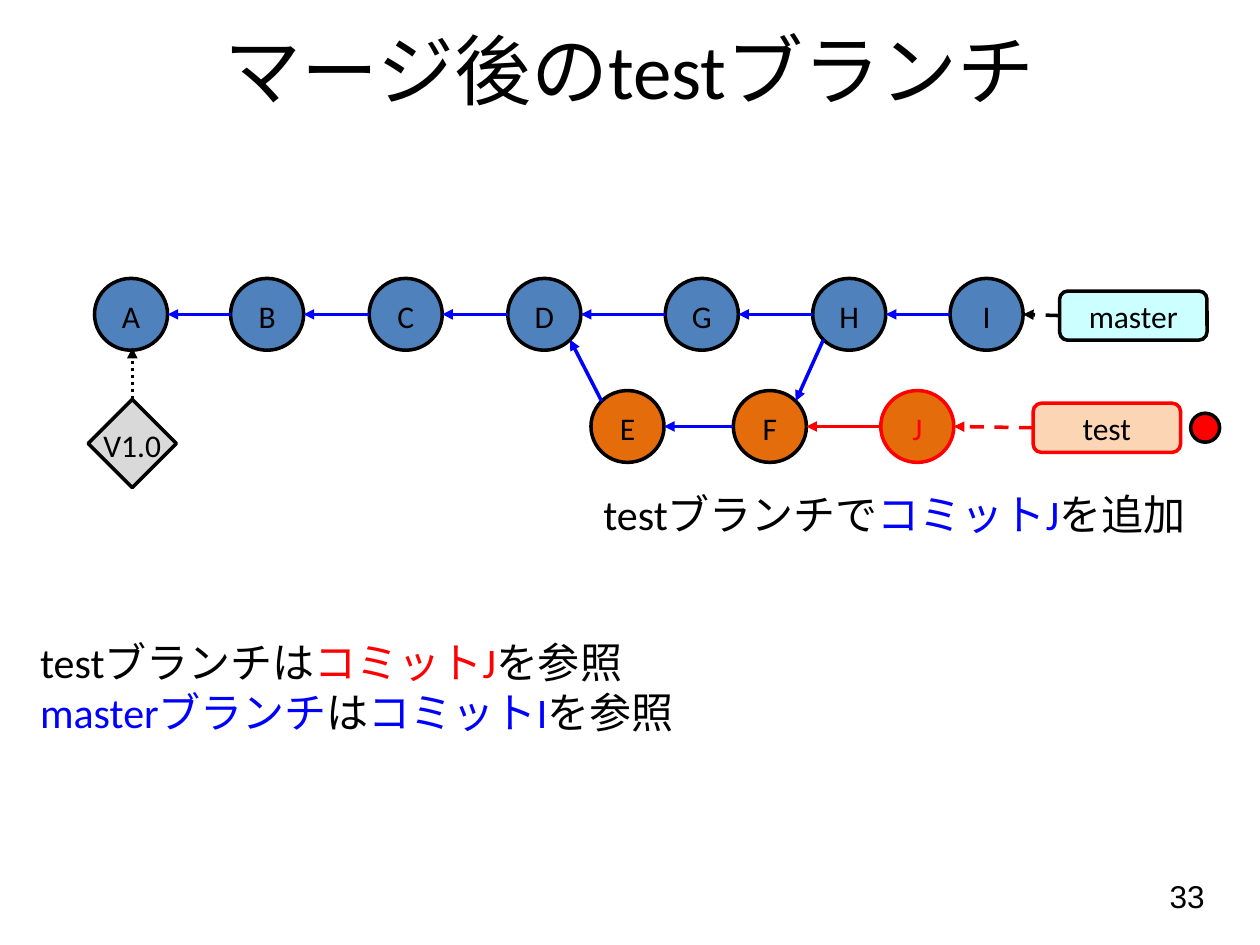
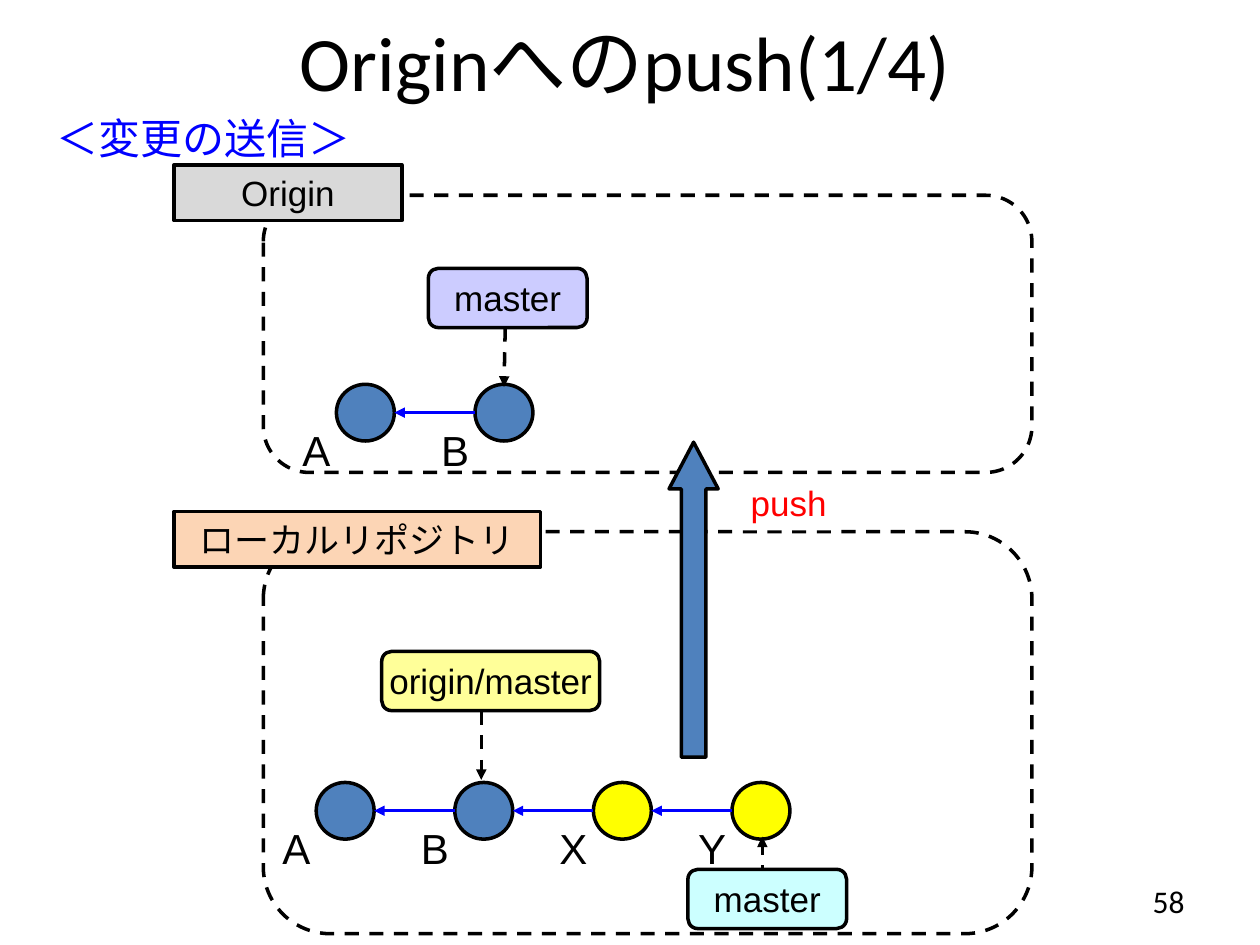
from dataclasses import dataclass
from math import copysign, sqrt

from lxml.etree import SubElement
from pptx import Presentation
from pptx.dml.color import RGBColor
from pptx.enum.dml import MSO_LINE as Dash
from pptx.enum.shapes import MSO_CONNECTOR, MSO_SHAPE as Preset
from pptx.enum.text import MSO_ANCHOR as Anchor, PP_ALIGN as Align
from pptx.oxml.ns import qn
from pptx.util import Inches, Pt

BLACK, WHITE, RED, BLUE = "000000", "FFFFFF", "FF0000", "0000FF"
STEEL, ORANGE, YELLOW = "4F81BD", "E46C0A", "FFFF00"
GRAY, PEACH, CYAN, LAVENDER, CREAM = "D9D9D9", "FCD5B5", "CCFFFF", "CCCCFF", "FFFF99"
BODY, DIAGRAM = "Calibri", "Arial"
INSETS = (0.1, 0.05, 0.1, 0.05)


@dataclass(frozen=True)
class Box:
    left: float
    top: float
    width: float
    height: float

    def lengths(self):
        return [Inches(v) for v in (self.left, self.top, self.width, self.height)]


@dataclass(frozen=True)
class Commit:
    name: str
    left: float
    top: float
    fill: str = STEEL
    outline: str = BLACK
    width: float = 0.58
    height: float = 0.57

    @property
    def box(self) -> Box:
        return Box(self.left, self.top, self.width, self.height)

    def edge(self, dx: float, dy: float) -> tuple[float, float]:
        reach = 1 / sqrt(dx * dx + dy * dy)
        return (self.left + self.width / 2 * (1 + dx * reach),
                self.top + self.height / 2 * (1 + dy * reach))


@dataclass(frozen=True)
class Tag:
    text: str
    box: Box
    fill: str
    outline: str = BLACK
    preset: Preset = Preset.ROUNDED_RECTANGLE


def color(value: str) -> RGBColor:
    return RGBColor.from_string(value)


def write(shape, paragraphs, *, size=18, font=BODY, ink=BLACK, align=Align.LEFT,
          anchor=Anchor.TOP, insets=INSETS, wrap=True) -> None:
    frame = shape.text_frame
    frame.word_wrap = wrap
    frame.vertical_anchor = anchor
    (frame.margin_left, frame.margin_top,
     frame.margin_right, frame.margin_bottom) = [Inches(v) for v in insets]
    if isinstance(paragraphs, str):
        paragraphs = [[(paragraphs, ink)]]
    for index, runs in enumerate(paragraphs):
        paragraph = frame.add_paragraph() if index else frame.paragraphs[0]
        paragraph.alignment = align
        for text, run_ink in runs:
            run = paragraph.add_run()
            run.text = text
            run.font.size = Pt(size)
            run.font.name = font
            run.font.color.rgb = color(run_ink)


def add_text(slide, box: Box, paragraphs, **style) -> None:
    write(slide.shapes.add_textbox(*box.lengths()), paragraphs, **style)


def add_block(slide, preset: Preset, box: Box, fill=None, outline=BLACK, dash=None):
    block = slide.shapes.add_shape(preset, *box.lengths())
    block.shadow.inherit = False
    if fill:
        block.fill.solid()
        block.fill.fore_color.rgb = color(fill)
    else:
        block.fill.background()
    if outline:
        block.line.color.rgb = color(outline)
        block.line.width = Pt(2)
        block.line.dash_style = dash
    else:
        block.line.fill.background()
    return block


def add_arrow(slide, start, end, ink=BLACK, weight=2.0, dash=None) -> None:
    arrow = slide.shapes.add_connector(
        MSO_CONNECTOR.STRAIGHT, *[Inches(v) for v in (*start, *end)])
    arrow.line.color.rgb = color(ink)
    arrow.line.width = Pt(weight)
    arrow.line.dash_style = dash
    properties = arrow._element.spPr
    SubElement(properties.find(qn("a:ln")), qn("a:tailEnd"), type="triangle")
    SubElement(properties, qn("a:effectLst"))


def add_commit(slide, commit: Commit):
    return add_block(slide, Preset.OVAL, commit.box, commit.fill, commit.outline)


def link(slide, child: Commit, parent: Commit, ink=BLUE, weight=2.0) -> None:
    dx = copysign(1, parent.left - child.left)
    dy = copysign(1, parent.top - child.top) if parent.top != child.top else 0
    add_arrow(slide, child.edge(dx, dy), parent.edge(-dx, -dy), ink, weight)


def add_tag(slide, tag: Tag, **style) -> None:
    block = add_block(slide, tag.preset, tag.box, tag.fill, tag.outline)
    write(block, tag.text, align=Align.CENTER, anchor=Anchor.MIDDLE, wrap=False, **style)


def add_slide(deck, title: str, title_box: Box, number: str, number_box: Box, number_font: str):
    slide = deck.slides.add_slide(deck.slide_layouts[6])
    add_text(slide, number_box, number, font=number_font, align=Align.RIGHT,
             anchor=Anchor.MIDDLE)
    add_text(slide, title_box, title, size=44, align=Align.CENTER, anchor=Anchor.MIDDLE)
    return slide


def build_merged_branch(deck) -> None:
    slide = add_slide(deck, "マージ後のtestブランチ", Box(0, -0.08, 10, 1.25),
                      "33", Box(7.33, 6.9, 2.33, 0.42), DIAGRAM)
    add_text(slide, Box(4.69, 3.83, 5.16, 0.5),
             [[("testブランチで", BLACK), ("コミットJ", BLUE), ("を追加", BLACK)]], size=24)

    master_lefts = zip("ABCDGHI", (0.75, 1.83, 2.93, 4.03, 5.28, 6.45, 7.54))
    history = {name: Commit(name, left, 2.21) for name, left in master_lefts}
    history |= {name: Commit(name, left, 3.1, ORANGE, outline) for name, left, outline in
                (("E", 4.69, BLACK), ("F", 5.82, BLACK), ("J", 6.99, RED))}
    for commit in history.values():
        ink = RED if commit.outline == RED else BLACK
        write(add_commit(slide, commit), commit.name, ink=ink, align=Align.CENTER,
              anchor=Anchor.MIDDLE, insets=(0, 0.03, 0, 0), wrap=False)
    for child, parent in ("BA", "CB", "DC", "GD", "HG", "IH", "ED", "FE", "HF", "JF"):
        link(slide, history[child], history[parent], history[child].outline
             if child == "J" else BLUE)

    add_block(slide, Preset.DIAMOND, Box(0.7, 3.17, 0.7, 0.7), GRAY)
    add_text(slide, Box(0.7, 3.33, 0.7, 0.4), "V1.0", align=Align.CENTER, wrap=False)
    add_arrow(slide, (1.05, 3.17), (1.05, 2.76), dash=Dash.ROUND_DOT)

    for tag, tip in ((Tag("test", Box(8.2, 3.2, 1.17, 0.39), PEACH, RED), "J"),
                     (Tag("master", Box(8.41, 2.31, 1.17, 0.39), CYAN), "I")):
        add_tag(slide, tag)
        start = (tag.box.left, tag.box.top + tag.box.height / 2)
        add_arrow(slide, start, history[tip].edge(1, 0), tag.outline, dash=Dash.DASH)
    add_block(slide, Preset.OVAL, Box(9.45, 3.28, 0.23, 0.23), RED)

    add_text(slide, Box(0.22, 5, 5.47, 0.9), [
        [("testブランチは", BLACK), ("コミットJ", RED), ("を参照", BLACK)],
        [("masterブランチ", BLUE), ("は", BLACK), ("コミットI", BLUE), ("を参照", BLACK)],
    ], size=24, wrap=False)


def add_repository(slide, names: str, left: float, top: float) -> None:
    row = [Commit(name, left + 1.1 * step, top, YELLOW if name in "XY" else STEEL,
                  width=0.46, height=0.45) for step, name in enumerate(names)]
    for commit in row:
        add_commit(slide, commit)
        add_text(slide, Box(commit.left - 0.27, top + 0.28, 0.32, 0.4), commit.name,
                 size=24, font=DIAGRAM, insets=(0, 0.04, 0, 0))
    for parent, child in zip(row, row[1:]):
        link(slide, child, parent, weight=1.5)


def build_push(deck) -> None:
    slide = add_slide(deck, "Originへのpush(1/4)", Box(0.39, 0, 9.14, 0.97),
                      "58", Box(7.17, 6.95, 2.33, 0.4), BODY)
    add_text(slide, Box(0.35, 0.84, 6.14, 0.5), "＜変更の送信＞", size=24, ink=BLUE)

    for top, height in ((1.55, 2.2), (4.22, 3.19)):
        add_block(slide, Preset.ROUNDED_RECTANGLE, Box(2.09, top, 6.1, height),
                  dash=Dash.DASH)
    add_repository(slide, "AB", 2.67, 3.05)
    add_repository(slide, "ABXY", 2.51, 6.21)

    for start, end in (((4.01, 2.6), (4, 3.07)), ((3.82, 5.64), (3.82, 6.19)),
                       ((6.05, 6.98), (6.05, 6.64))):
        add_arrow(slide, start, end, dash=Dash.DASH)
    for tag in (
        Tag("master", Box(3.4, 2.13, 1.26, 0.47), LAVENDER),
        Tag("origin/master", Box(3.03, 5.17, 1.73, 0.47), CREAM),
        Tag("master", Box(5.46, 6.9, 1.26, 0.47), CYAN),
        Tag("Origin", Box(1.38, 1.31, 1.81, 0.44), GRAY, preset=Preset.RECTANGLE),
        Tag("ローカルリポジトリ", Box(1.38, 4.06, 2.91, 0.44), PEACH, preset=Preset.RECTANGLE),
    ):
        add_tag(slide, tag, size=20, font=DIAGRAM)

    push = add_block(slide, Preset.UP_ARROW, Box(5.31, 3.51, 0.39, 2.5), STEEL)
    push.adjustments[0], push.adjustments[1] = 0.5, 0.95
    caption = add_block(slide, Preset.RECTANGLE, Box(5.86, 3.77, 0.8, 0.44), WHITE, None)
    write(caption, "push", size=20, font=DIAGRAM, ink=RED, wrap=False)


def main() -> None:
    deck = Presentation()
    deck.slide_width, deck.slide_height = Inches(10), Inches(7.5)
    build_merged_branch(deck)
    build_push(deck)
    deck.save("out.pptx")


if __name__ == "__main__":
    main()
